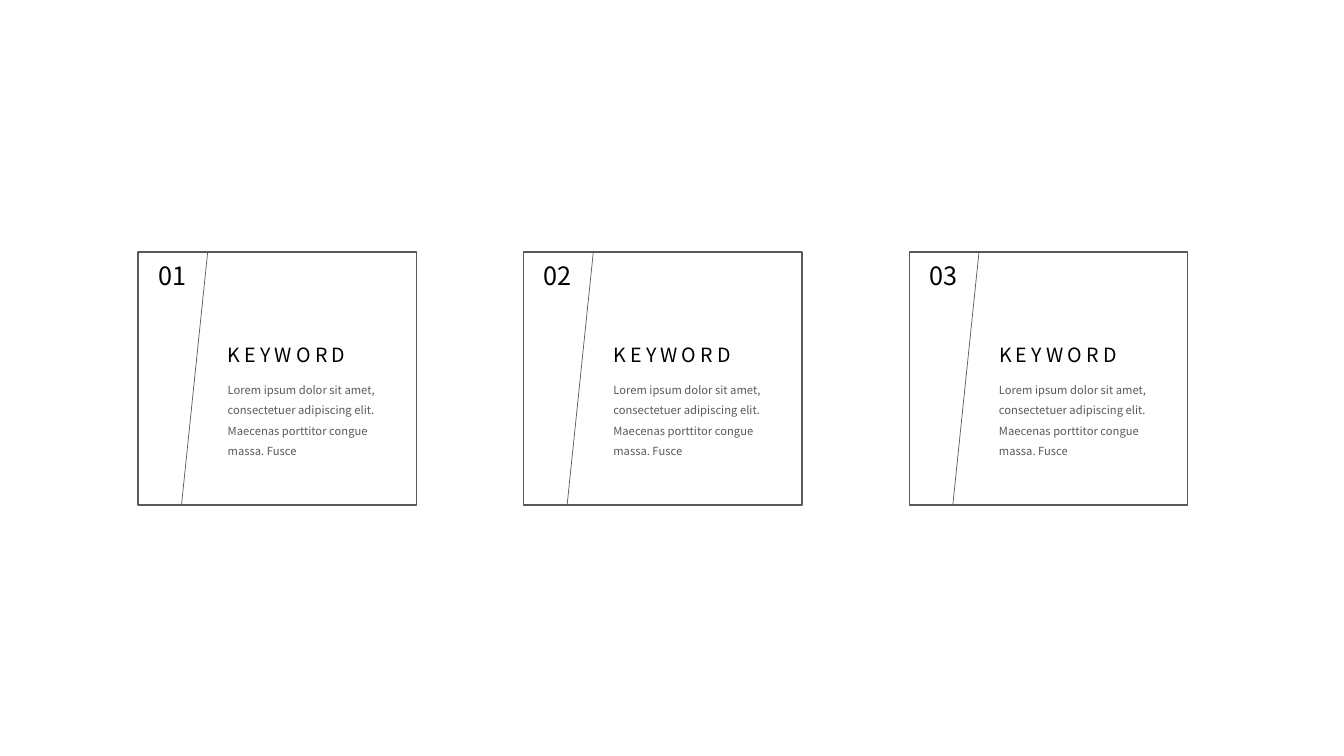
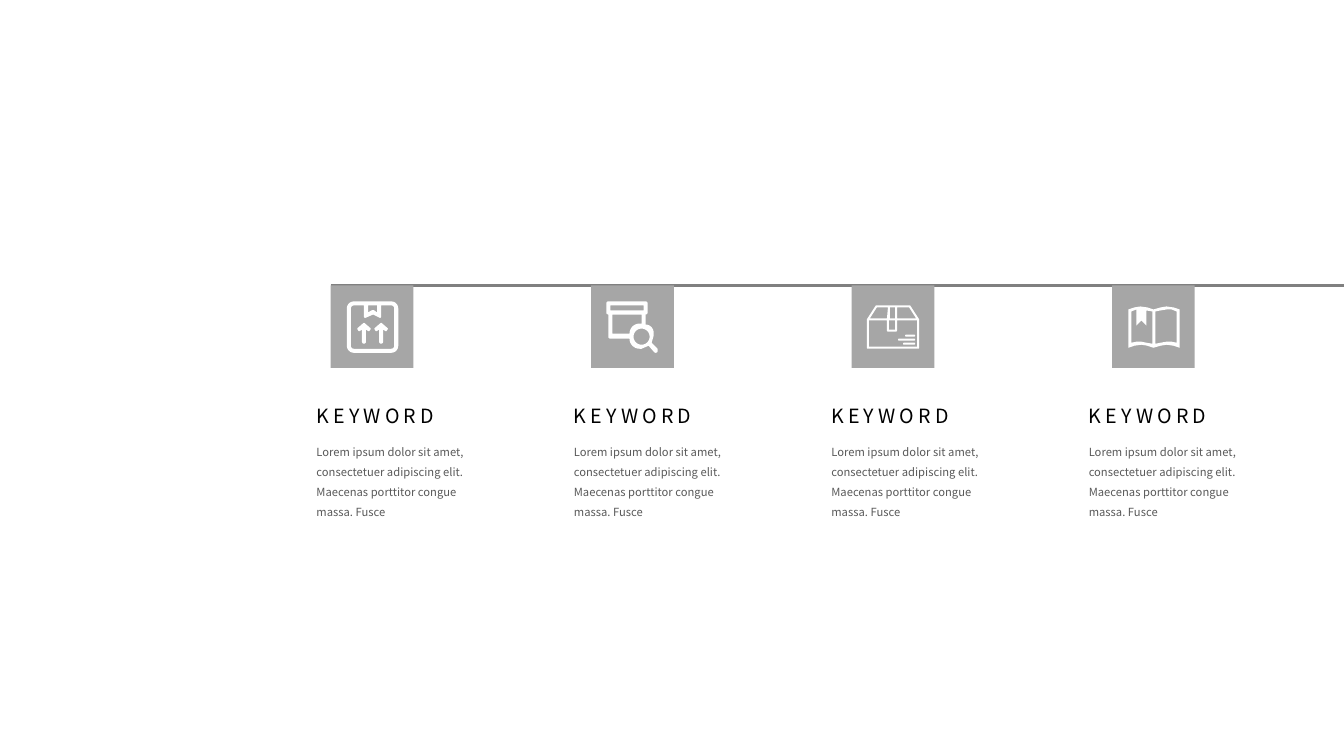
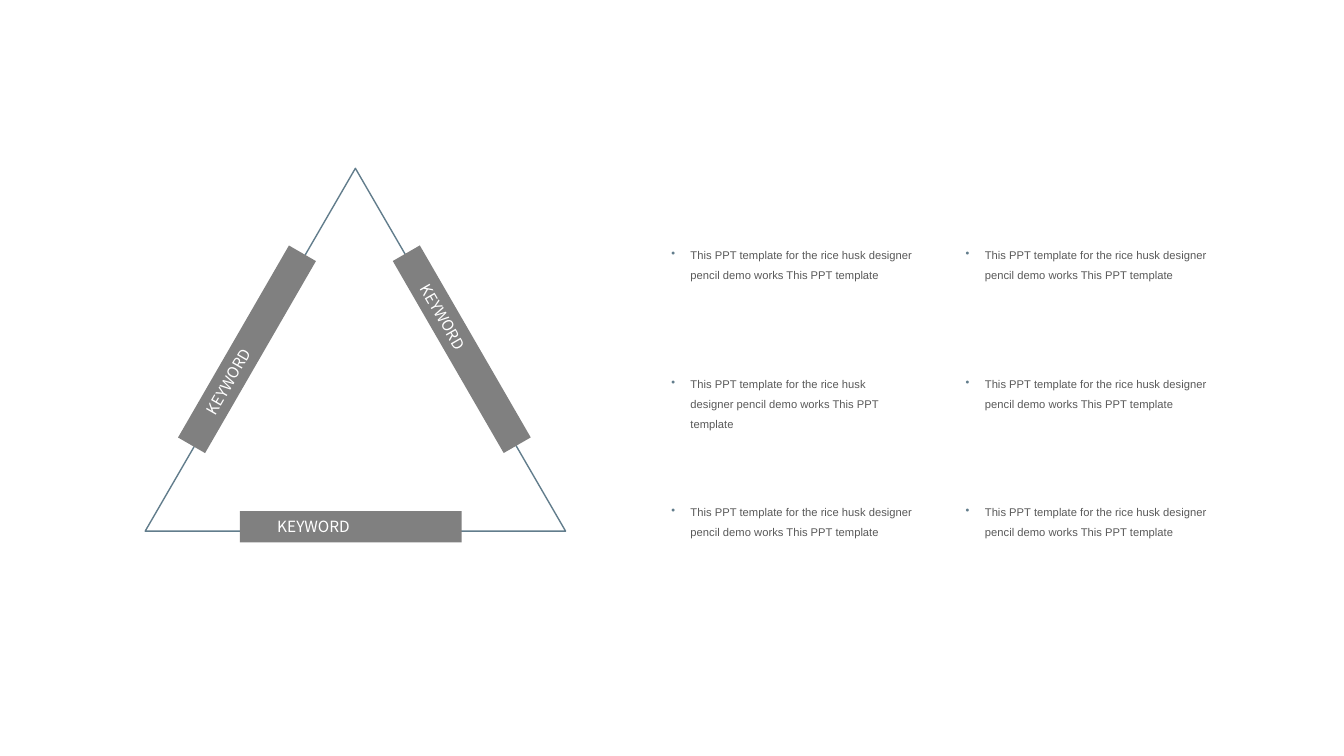
import math
import pptx
import pptx.dml.color
import pptx.enum.shapes
import pptx.enum.text
import pptx.oxml.ns
import pptx.util
from lxml import etree

# Shared style; lengths are px, 100 to the inch
PX = 9144
SLIDE_W, SLIDE_H = 1333, 750
BLACK, BODY, BAR, TILE, SLATE, WHITE = "000000", "595959", "808080", "A6A6A6", "627D8C", "FFFFFF"
SANS, ARIAL = "Noto Sans CJK SC", "Arial"
SHAPES = pptx.enum.shapes.MSO_SHAPE

# Content
KEYWORD = "KEYWORD"
LOREM = ("Lorem ipsum dolor sit amet, consectetuer adipiscing elit. "
         "Maecenas porttitor congue massa. Fusce")
NOTE = "This PPT template for the rice husk designer pencil demo works This PPT template"
CARD_NUMBERS = ["01", "02", "03"]
BARS = [(348, 331, 60), (135, 331, 300), (238, 507, 0)]  # left, top, rotation
NOTE_TOPS = [235, 363, 490]
NOTE_COLUMNS = [(656, [268, 258, 265]), (948, [260, 261, 261])]  # left, widths


def box(left, top, width, height, radius=0):
    right, bottom = left + width, top + height
    return [(x, y, radius) for x, y in
            [(left, top), (right, top), (right, bottom), (left, bottom)]]


def arrow(x):
    return [(x, 21, 1), (x + 7, 27, 1), (x + 5, 30, 1), (x + 2, 28), (x + 2, 42, 2),
            (x - 2, 42, 2), (x - 2, 28), (x - 5, 30, 1), (x - 7, 27, 1)]


# Icons: offset in the tile, then contours of (x, y[, corner radius]); inner ones cut holes
PARCEL_UP = (16, 16, [
    box(0, 0, 51, 51, 7),
    [(4, 4, 3), (17, 4), (17, 17, 2), (26, 13), (34, 17, 2), (34, 4),
     (47, 4, 3), (47, 47, 3), (4, 47, 3)],
    [(21, 4), (21, 11), (26, 8, 2), (30, 11), (30, 4)],
    arrow(17), arrow(34)])
BOX_SEARCH = (15, 16, [
    [(0, 0, 2), (41, 0, 2), (41, 13, 2), (39, 13), (39, 23), (47, 23, 8), (47, 34),
     (45, 41), (51, 47, 1), (51, 51, 2), (48, 51, 1), (42, 44), (35, 47), (23, 47, 10),
     (23, 37), (2, 37, 2), (2, 13), (0, 13, 2)],
    box(4, 4, 33, 5),
    [(6, 13), (35, 13), (35, 22), (23, 22, 10), (23, 32), (6, 32)],
    box(27, 27, 16, 16, 8)])
CARTON = (15, 20, [
    [(9, 0), (43, 0), (52, 14), (52, 43, 1), (0, 43, 1), (0, 14)],
    [(2, 15), (2, 41), (50, 41), (50, 15), (30, 15), (30, 26, 1), (20, 26, 1), (20, 15)],
    box(22, 15, 6, 9),
    [(30, 2), (30, 13), (49, 13), (42, 2)],
    box(23, 2, 5, 11),
    [(10, 2), (3, 13), (20, 13), (21, 2)],
    box(36, 37, 12, 2, 1), box(31, 33, 17, 2, 1), box(38, 29, 10, 2, 1)])
BOOK = (16, 21, [
    [(0, 3), (6, 1), (12, 0), (19, 1), (25, 3), (32, 1), (38, 0), (45, 1), (51, 3),
     (51, 41), (45, 39), (38, 38), (32, 39), (25, 41), (19, 39), (13, 38), (6, 39), (0, 41)],
    [(48, 5), (43, 3), (38, 3), (32, 4), (27, 5), (27, 37), (32, 36), (38, 35), (43, 35), (48, 36)],
    [(3, 5), (8, 3), (8, 19), (13, 14), (18, 19), (18, 4), (24, 5), (24, 37),
     (18, 36), (13, 35), (8, 35), (3, 36)]])
ICONS = [PARCEL_UP, BOX_SEARCH, CARTON, BOOK]


def emu(px):
    return round(px * PX)


def rgb(hex_color):
    return pptx.dml.color.RGBColor.from_string(hex_color)


def spread(first, last, count):
    return [first + (last - first) * i / (count - 1) for i in range(count)]


def paint(shape, fill=None, line=None, weight=1):
    shape.shadow.inherit = False
    if fill:
        shape.fill.solid()
        shape.fill.fore_color.rgb = rgb(fill)
    else:
        shape.fill.background()
    if line:
        shape.line.color.rgb = rgb(line)
        shape.line.width = pptx.util.Pt(weight)
    else:
        shape.line.fill.background()


def add_block(slide, kind, left, top, width, height, **style):
    shape = slide.shapes.add_shape(kind, emu(left), emu(top), emu(width), emu(height))
    paint(shape, **style)
    return shape


def add_line(slide, x1, y1, x2, y2, color, weight):
    line = slide.shapes.add_connector(pptx.enum.shapes.MSO_CONNECTOR.STRAIGHT,
                                      emu(x1), emu(y1), emu(x2), emu(y2))
    line.line.color.rgb = rgb(color)
    line.line.width = pptx.util.Pt(weight)
    etree.SubElement(line._element.spPr, pptx.oxml.ns.qn("a:effectLst"))


def add_bullet(paragraph):
    props = paragraph._p.get_or_add_pPr()
    props.set("marL", str(emu(19)))
    props.set("indent", str(emu(-19)))
    color = etree.SubElement(props, pptx.oxml.ns.qn("a:buClr"))
    etree.SubElement(color, pptx.oxml.ns.qn("a:srgbClr")).set("val", SLATE)
    etree.SubElement(props, pptx.oxml.ns.qn("a:buChar")).set("char", "•")


def write(frame, text, size, color, font=SANS, leading=None, tracking=0, bullet=False):
    paragraph = frame.paragraphs[0]
    paragraph.text = text
    if bullet:
        add_bullet(paragraph)
    if leading:
        paragraph.line_spacing = leading
    paragraph.font.size = pptx.util.Pt(size)
    paragraph.font.name = font
    paragraph.font.color.rgb = rgb(color)
    if tracking:
        paragraph._p.pPr.get_or_add_defRPr().set("spc", str(tracking * 100))
    return paragraph


def add_text(slide, left, top, width, height, text, size, color, wrap=True, **style):
    frame = slide.shapes.add_textbox(emu(left), emu(top), emu(width), emu(height)).text_frame
    frame.word_wrap = wrap
    write(frame, text, size, color, **style)


def add_keyword(slide, left, top, body_width):
    add_text(slide, left, top, 189, 34, KEYWORD, 14, BLACK, tracking=3)
    add_text(slide, left, top + 34, body_width, 91, LOREM, 8, BODY, leading=1.5)


def trace(contour):
    """Turn corners with a radius into short arcs."""
    points = []
    for i, (x, y, *radius) in enumerate(contour):
        if not radius or not radius[0]:
            points.append((x, y))
            continue
        before, after = contour[i - 1], contour[(i + 1) % len(contour)]
        (ux, uy), (vx, vy) = [
            ((px - x) / math.dist((px, py), (x, y)), (py - y) / math.dist((px, py), (x, y)))
            for px, py in (before[:2], after[:2])]
        for step in range(9):
            angle = step * math.pi / 16
            a, b = radius[0] * (1 - math.sin(angle)), radius[0] * (1 - math.cos(angle))
            points.append((x + a * ux + b * vx, y + a * uy + b * vy))
    return points


def add_icon(slide, left, top, contours):
    builder = None
    for contour in contours:
        start, *rest = [(emu(left + x), emu(top + y)) for x, y in trace(contour)]
        if builder is None:
            builder = slide.shapes.build_freeform(*start, scale=1.0)
        else:
            builder.move_to(*start)
        builder.add_line_segments(rest, close=True)
    paint(builder.convert_to_shape(), fill=WHITE)


def build_cards(slide):
    top, height = 250, 251
    for number, left in zip(CARD_NUMBERS, spread(137, 902, len(CARD_NUMBERS))):
        add_block(slide, SHAPES.RECTANGLE, left, top, 276, height, line=BODY)
        add_line(slide, left + 43, top + height, left + 69, top, BODY, 0.5)
        add_text(slide, left + 10, top + 3, 48, 40, number, 18, BLACK, wrap=False)
        add_keyword(slide, left + 79, top + 85, 176)


def build_timeline(slide):
    top, first = 283, 328
    add_line(slide, first, top, SLIDE_W, top, BAR, 2.25)
    for left, (dx, dy, contours) in zip(spread(first, 1103, len(ICONS)), ICONS):
        add_block(slide, SHAPES.RECTANGLE, left, top, 82, 82, fill=TILE)
        add_icon(slide, left + dx, top + dy, contours)
    for left in spread(304, 1070, len(ICONS)):
        add_keyword(slide, left, 396, 189)


def build_triangle(slide):
    add_block(slide, SHAPES.ISOSCELES_TRIANGLE, 144, 167, 417, 360, line=SLATE)
    for left, top, rotation in BARS:
        bar = add_block(slide, SHAPES.RECTANGLE, left, top, 220, 31, fill=BAR)
        bar.rotation = rotation
        frame = bar.text_frame
        frame.margin_left, frame.margin_top, frame.margin_bottom = emu(37), 0, 0
        frame.vertical_anchor = pptx.enum.text.MSO_ANCHOR.MIDDLE
        label = write(frame, KEYWORD, 11, WHITE)
        label.alignment = pptx.enum.text.PP_ALIGN.JUSTIFY
    # Notes in two columns
    for left, widths in NOTE_COLUMNS:
        for top, width in zip(NOTE_TOPS, widths):
            add_text(slide, left, top, width, 50, NOTE, 8, BODY,
                     font=ARIAL, leading=1.5, bullet=True)


def main():
    deck = pptx.Presentation()
    deck.slide_width, deck.slide_height = emu(SLIDE_W), emu(SLIDE_H)
    blank = deck.slide_layouts[6]
    for build in (build_cards, build_timeline, build_triangle):
        build(deck.slides.add_slide(blank))
    deck.save("out.pptx")


if __name__ == "__main__":
    main()
